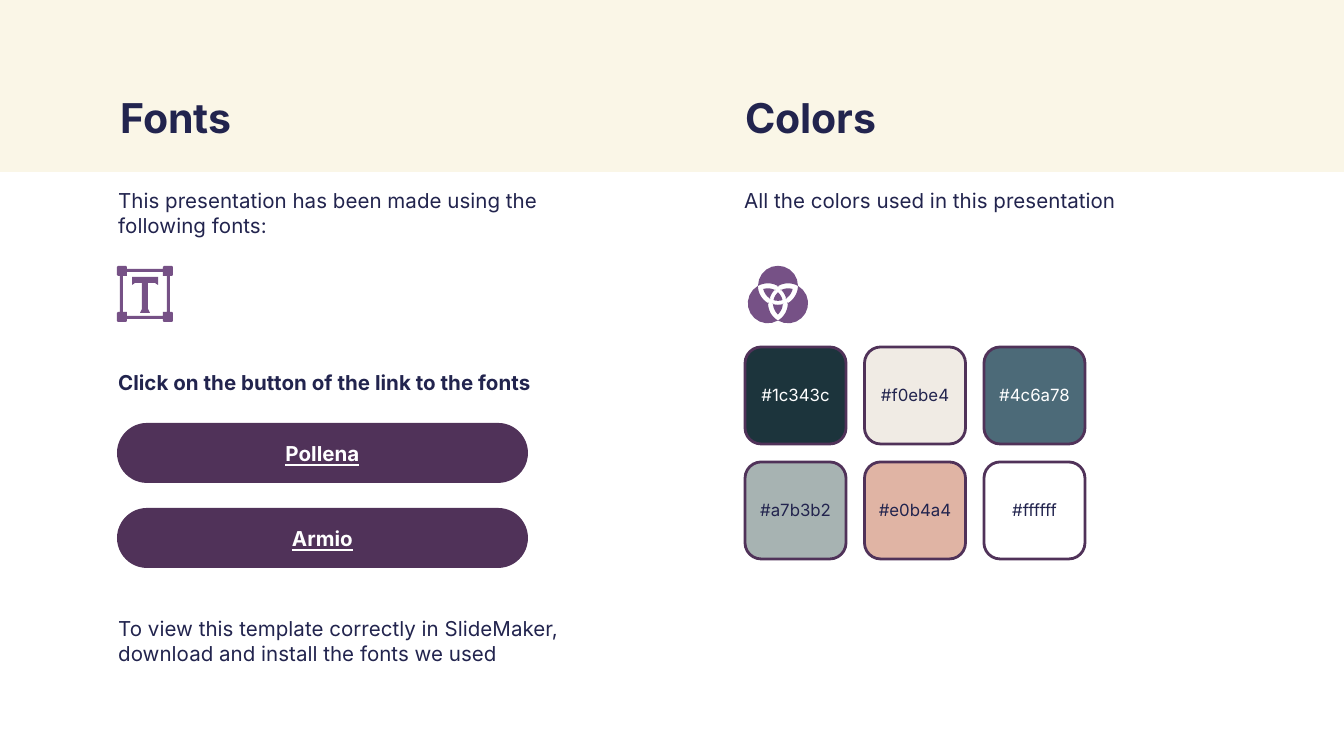
import math
from pptx import Presentation
from pptx import util as u
from pptx.dml.color import RGBColor
from pptx.enum import shapes, text

SCALE = 914400 / 134.4
NAVY = RGBColor(0x22, 0x24, 0x4E)
CREAM = RGBColor(0xFA, 0xF6, 0xE7)
PLUM = RGBColor(0x50, 0x32, 0x59)
MAUVE = RGBColor(0x76, 0x51, 0x86)
WHITE = RGBColor(0xFF, 0xFF, 0xFF)
KIND = shapes.MSO_SHAPE
MID = text.MSO_ANCHOR.MIDDLE
TOP = text.MSO_ANCHOR.TOP
LEFT = text.PP_ALIGN.LEFT
CENTER = text.PP_ALIGN.CENTER


def px(*nums):
    return [u.Emu(round(n * SCALE)) for n in nums]


def write(shape, words, size, color, bold=False, align=LEFT, anchor=TOP):
    frame = shape.text_frame
    frame.word_wrap = True
    frame.auto_size = text.MSO_AUTO_SIZE.NONE
    frame.vertical_anchor = anchor
    inset = u.Inches(0.1)
    frame.margin_left = frame.margin_right = inset
    frame.margin_top = frame.margin_bottom = inset
    frame.text = words
    para = frame.paragraphs[0]
    para.alignment = align
    para.font.name = "Inter"
    para.font.size = u.Pt(size)
    para.font.bold = bold
    para.font.color.rgb = color
    return para


deck = Presentation()
deck.slide_width, deck.slide_height = px(1344, 756)
slide = deck.slides.add_slide(deck.slide_layouts[5])
tree = slide.shapes

band = tree.add_shape(KIND.RECTANGLE, *px(0, -1, 1344, 173))
band.shadow.inherit = False
band.fill.solid()
band.fill.fore_color.rgb = CREAM
band.line.fill.background()
tree._spTree.insert(2, band._element)

title = tree.title
title.left, title.top, title.width, title.height = px(107, 79, 492, 71)
write(title, "Fonts", 22, NAVY, True)

notes = [
    (732, 79, 508, 71, "Colors", 22, True),
    (105, 357, 470, 44, "Click on the button of the link to the fonts", 11, True),
    (731, 175, 508, 74, "All the colors used in this presentation", 11, False),
    (105, 175, 508, 74, "This presentation has been made using the following fonts:", 11, False),
    (105, 603, 508, 74, "To view this template correctly in SlideMaker, download and install the fonts we used", 11, False),
]
for x, y, w, h, words, size, bold in notes:
    write(tree.add_textbox(*px(x, y, w, h)), words, size, NAVY, bold)

for y, name in [(423, "Pollena"), (508, "Armio")]:
    pill = tree.add_shape(KIND.ROUNDED_RECTANGLE, *px(117, y, 411, 60))
    pill.shadow.inherit = False
    pill.adjustments[0] = 0.5
    pill.fill.solid()
    pill.fill.fore_color.rgb = PLUM
    pill.line.fill.background()
    write(pill, name, 11, WHITE, True, CENTER, MID).font.underline = True

codes = ["1c343c", "f0ebe4", "4c6a78", "a7b3b2", "e0b4a4", "ffffff"]
for i, code in enumerate(codes):
    row, col = divmod(i, 3)
    x, y = 745 + 239 * col / 2, 347 + 115 * row
    swatch = tree.add_shape(KIND.ROUNDED_RECTANGLE, *px(x, y, 101, 97))
    swatch.shadow.inherit = False
    swatch.fill.solid()
    swatch.fill.fore_color.rgb = RGBColor.from_string(code.upper())
    swatch.line.color.rgb = PLUM
    swatch.line.width = u.Pt(1.5)
    ink = WHITE if code in ("1c343c", "4c6a78") else NAVY
    label = tree.add_textbox(*px(x, y + 20, 101, 56))
    write(label, "#" + code, 9, ink, False, CENTER, MID)
    label.text_frame.word_wrap = False

outer = [(-25, -18), (-27, -18), (-28, -19), (-28, -27), (-27, -28), (-19, -28), (-18, -27), (-18, -25)]
inner = [(-22, -18), (-18, -18), (-18, -22)]
frame = []
for corner in (outer, inner):
    ring = []
    for turn in range(4):
        ring += [(145 + x, 294 + y) for x, y in corner]
        corner = [(-y, x) for x, y in corner]
    frame.append(ring)

half = [(13, 277), (13, 285), (10, 283), (3, 283), (3, 309), (5, 313)]
letter = [(145 + x, y) for x, y in half] + [(145 - x, y) for x, y in half[::-1]]

petal = [(-90, 20, 180, 360), (30, 20, -60, -123), (150, 20, -57, -120)]
lens = [(-90, 19, 73, 107), (30, 15, 180, 132), (150, 15, 48, 0)]
core = [(-90 + t, 15, 107 + t, 73 + t) for t in (0, 240, 120)]
parts = [(petal, t) for t in (0, 120, 240)]
parts += [(lens, t) for t in (0, 120, 240)] + [(core, 0)]

icons = [frame, [letter]]
for arcs, turn in parts:
    ring = []
    for side, size, start, end in arcs:
        hub = math.radians(side + turn)
        for step in range(11):
            angle = math.radians(start + (end - start) * step / 10 + turn)
            x = 778 + 11.7 * math.cos(hub) + size * math.cos(angle)
            y = 297.5 + 11.7 * math.sin(hub) + size * math.sin(angle)
            ring.append((x, y))
    icons.append([ring])

for rings in icons:
    path = tree.build_freeform(*px(*rings[0][0]), scale=1)
    for ring in rings:
        if ring is not rings[0]:
            path.move_to(*px(*ring[0]))
        path.add_line_segments([px(*spot) for spot in ring[1:]], close=True)
    icon = path.convert_to_shape()
    icon.shadow.inherit = False
    icon.fill.solid()
    icon.fill.fore_color.rgb = MAUVE
    icon.line.fill.background()

deck.save("out.pptx")
